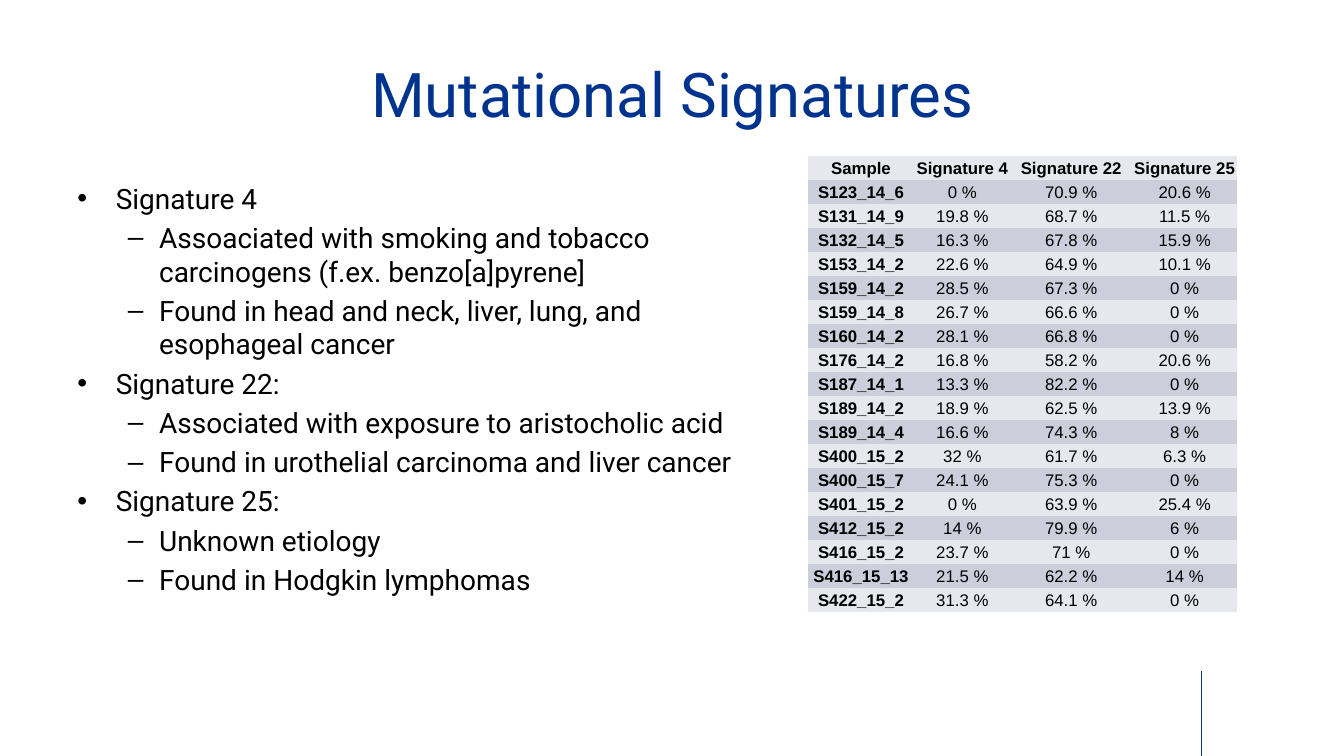
from lxml.etree import SubElement
from pptx import Presentation
from pptx.dml.color import RGBColor
from pptx.enum.shapes import MSO_CONNECTOR
from pptx.enum.text import MSO_ANCHOR, PP_ALIGN
from pptx.oxml.ns import qn
from pptx.util import Inches, Pt

NAVY = "00338D"
BLACK = "000000"
ROW_FILLS = ["E7E8EE", "CCCEDB"]


def color(value):
    return RGBColor.from_string(value)


def set_font(paragraph, name, size, value, bold=False):
    paragraph.font.name = name
    paragraph.font.size = Pt(size)
    paragraph.font.bold = bold
    paragraph.font.color.rgb = color(value)


presentation = Presentation()
presentation.slide_width = Inches(13.33)
presentation.slide_height = Inches(7.5)
slide = presentation.slides.add_slide(presentation.slide_layouts[5])

line = slide.shapes.add_connector(
    MSO_CONNECTOR.STRAIGHT, Inches(11.92), Inches(7.5), Inches(11.92), Inches(6.66))
line.line.color.rgb = color(NAVY)
line.line.width = Pt(0.75)
SubElement(line.element.spPr, qn("a:effectLst"))

title = slide.shapes.title
title.left, title.top = Inches(0.67), Inches(0.3)
title.width, title.height = Inches(12), Inches(1.25)
title.text_frame.text = "Mutational Signatures"
title.text_frame.vertical_anchor = MSO_ANCHOR.MIDDLE
title.text_frame.paragraphs[0].alignment = PP_ALIGN.CENTER
set_font(title.text_frame.paragraphs[0], "Roboto", 44, NAVY)

signatures = [
    (0, "Signature 4"),
    (1, "Assoaciated with smoking and tobacco carcinogens (f.ex. benzo[a]pyrene]"),
    (1, "Found in head and neck, liver, lung, and esophageal cancer"),
    (0, "Signature 22:"),
    (1, "Associated with exposure to aristocholic acid"),
    (1, "Found in urothelial carcinoma and liver cancer"),
    (0, "Signature 25:"),
    (1, "Unknown etiology"),
    (1, "Found in Hodgkin lymphomas"),
]
bullet_styles = [("•", 0.38, -0.38), ("–", 0.81, -0.31)]

body = slide.shapes.add_textbox(Inches(0.67), Inches(1.75), Inches(6.94), Inches(4.76))
body.text_frame.word_wrap = True
for index, (level, text) in enumerate(signatures):
    paragraph = body.text_frame.paragraphs[0] if index == 0 else body.text_frame.add_paragraph()
    paragraph.text = text
    paragraph.level = level
    paragraph.space_before = Pt(4 if index else 0)
    bullet, margin, indent = bullet_styles[level]
    properties = paragraph._p.get_or_add_pPr()
    properties.set("marL", str(Inches(margin)))
    properties.set("indent", str(Inches(indent)))
    SubElement(properties, qn("a:buFont"), typeface="Arial")
    SubElement(properties, qn("a:buChar"), char=bullet)
    set_font(paragraph, "Roboto", 20, BLACK)

rows = [
    ("Sample", "Signature 4", "Signature 22", "Signature 25"),
    ("S123_14_6", "0 %", "70.9 %", "20.6 %"),
    ("S131_14_9", "19.8 %", "68.7 %", "11.5 %"),
    ("S132_14_5", "16.3 %", "67.8 %", "15.9 %"),
    ("S153_14_2", "22.6 %", "64.9 %", "10.1 %"),
    ("S159_14_2", "28.5 %", "67.3 %", "0 %"),
    ("S159_14_8", "26.7 %", "66.6 %", "0 %"),
    ("S160_14_2", "28.1 %", "66.8 %", "0 %"),
    ("S176_14_2", "16.8 %", "58.2 %", "20.6 %"),
    ("S187_14_1", "13.3 %", "82.2 %", "0 %"),
    ("S189_14_2", "18.9 %", "62.5 %", "13.9 %"),
    ("S189_14_4", "16.6 %", "74.3 %", "8 %"),
    ("S400_15_2", "32 %", "61.7 %", "6.3 %"),
    ("S400_15_7", "24.1 %", "75.3 %", "0 %"),
    ("S401_15_2", "0 %", "63.9 %", "25.4 %"),
    ("S412_15_2", "14 %", "79.9 %", "6 %"),
    ("S416_15_2", "23.7 %", "71 %", "0 %"),
    ("S416_15_13", "21.5 %", "62.2 %", "14 %"),
    ("S422_15_2", "31.3 %", "64.1 %", "0 %"),
]
table = slide.shapes.add_table(
    len(rows), 4, Inches(8.01), Inches(1.55), Inches(4.25), Inches(4.52)).table
table.horz_banding = False
table_style = table._tbl.tblPr.find(qn("a:tableStyleId"))
table_style.text = "{2D5ABB26-0587-4C30-8999-92F81FD0307C}"
for column, width in zip(table.columns, [1.06, 0.95, 1.21, 1.04]):
    column.width = Inches(width)

for row_index, row in enumerate(rows):
    for column_index, text in enumerate(row):
        cell = table.cell(row_index, column_index)
        cell.text = text
        cell.fill.solid()
        cell.fill.fore_color.rgb = color(ROW_FILLS[row_index % 2])
        cell.margin_left = cell.margin_right = cell.margin_top = Inches(0.01)
        cell.margin_bottom = Inches(0)
        cell.vertical_anchor = MSO_ANCHOR.MIDDLE
        paragraph = cell.text_frame.paragraphs[0]
        paragraph.alignment = PP_ALIGN.CENTER
        set_font(paragraph, "Arial", 12, BLACK, row_index == 0 or column_index == 0)

presentation.save("out.pptx")
